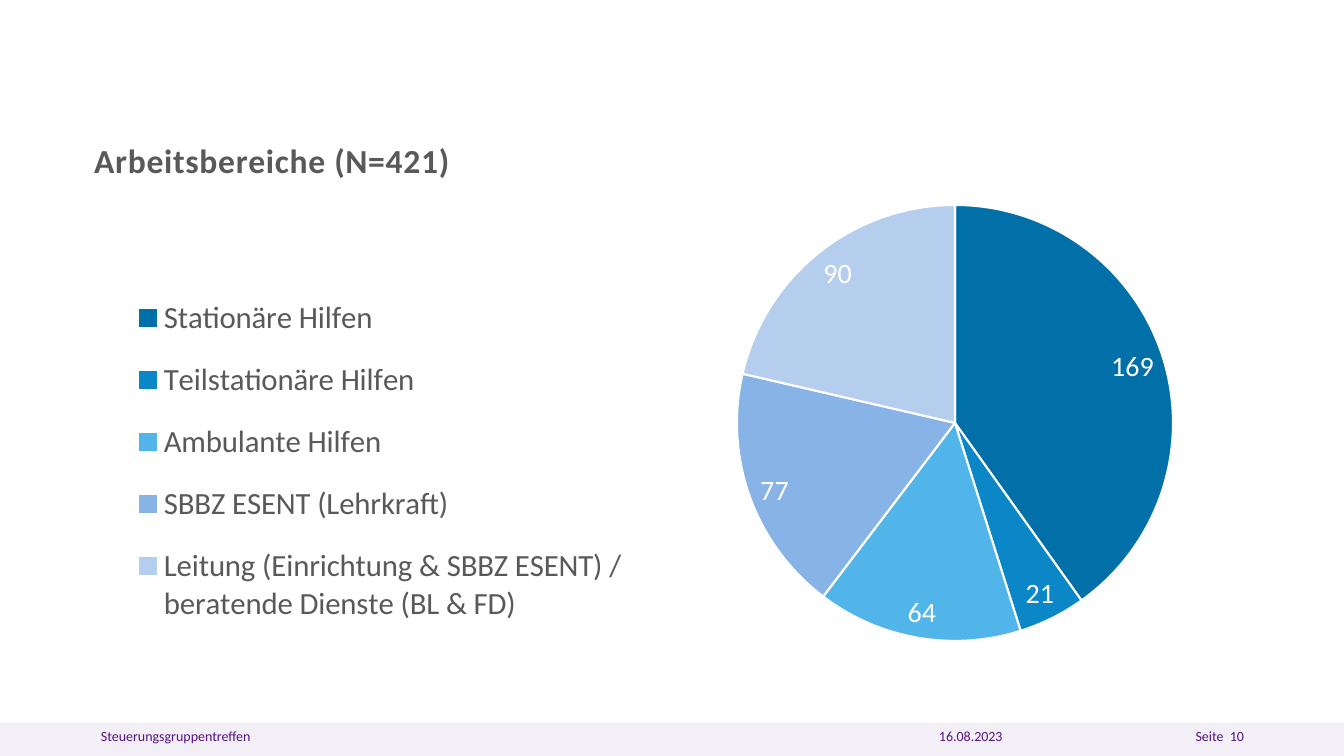
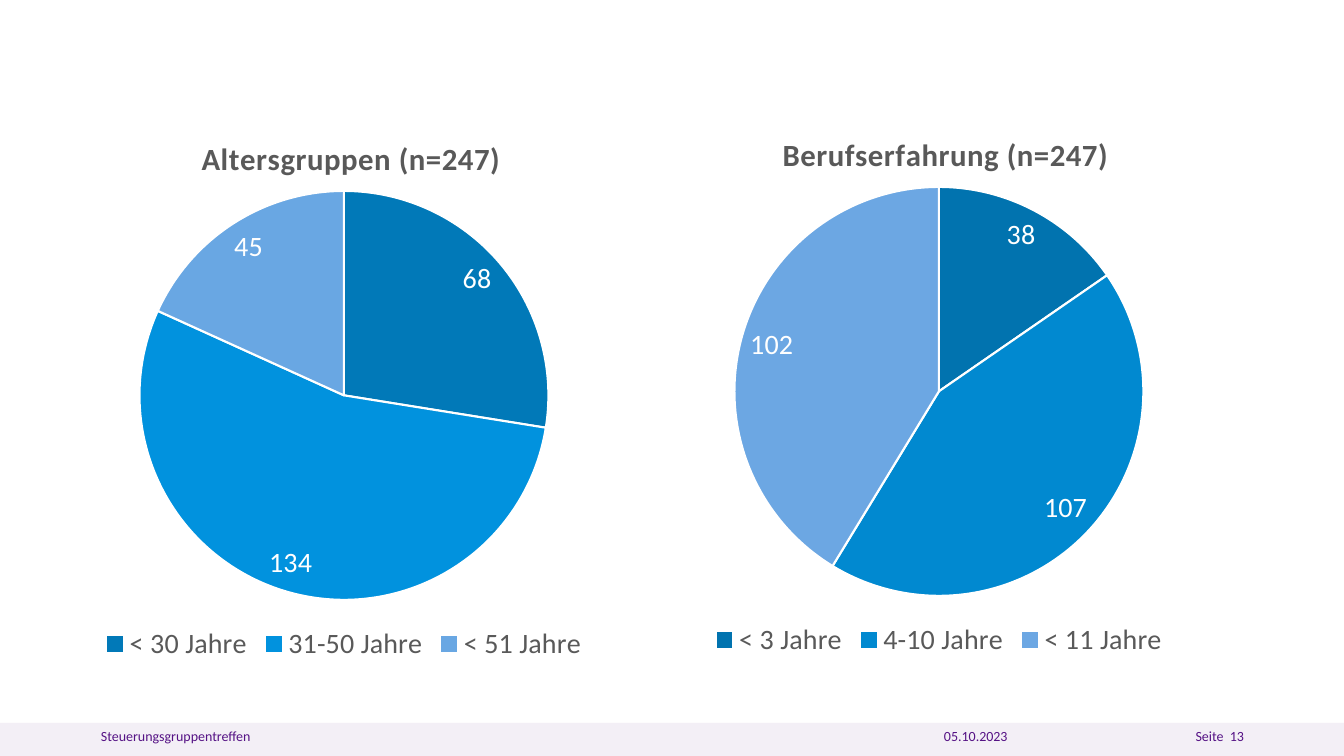
from dataclasses import dataclass

from lxml import etree
from pptx import Presentation
from pptx.chart.data import CategoryChartData
from pptx.dml.color import RGBColor
from pptx.enum.chart import XL_CHART_TYPE as ChartType
from pptx.enum.chart import XL_LABEL_POSITION as LabelPosition
from pptx.enum.chart import XL_LEGEND_POSITION as LegendPosition
from pptx.enum.shapes import MSO_SHAPE as Shape
from pptx.enum.text import PP_ALIGN as Align
from pptx.oxml.ns import qn
from pptx.util import Emu, Pt

PX = 12192000 / 1344
WIDTH, HEIGHT = 1344, 756
BLANK_LAYOUT = 6


@dataclass(frozen=True)
class Theme:
    font: str = "Calibri"
    band: str = "F3EFF6"
    footer: str = "551285"
    text: str = "595959"
    white: str = "FFFFFF"
    footer_size: int = 10
    label_size: int = 20
    title_spacing: int = 50
    slice_line: float = 1.5


THEME = Theme()


def px(length):
    return Emu(round(length * PX))


def px_box(box):
    return [px(length) for length in box]


def set_attributes(target, values):
    for name, value in values.items():
        setattr(target, name, value)


def set_font(font, size, color, bold=False):
    set_attributes(font, {"name": THEME.font, "size": Pt(size), "bold": bold})
    font.color.rgb = RGBColor.from_string(color)


# Footer shared by all slides
FOOTER_BOX = (0, 723, WIDTH, 33)


def add_master_band(presentation, slide):
    """Draw the footer band and move it to the slide master."""
    band = slide.shapes.add_shape(Shape.RECTANGLE, *px_box(FOOTER_BOX))
    band.shadow.inherit = False
    band.fill.solid()
    band.fill.fore_color.rgb = RGBColor.from_string(THEME.band)
    band.line.fill.background()
    tree = presentation.slide_master.shapes._spTree
    tree.insert(2, band._element)


def add_footer(slide, box, date, date_left, page):
    left, top, _, height = box
    fields = [
        (101, 657, 0, Align.LEFT, "Steuerungsgruppentreffen"),
        (date_left, 179, 10, Align.LEFT, date),
        (1120, 134, 10, Align.RIGHT, f"Seite  {page}"),
    ]
    for offset, width, inset, alignment, text in fields:
        field = slide.shapes.add_textbox(*px_box((left + offset, top, width, height)))
        frame = field.text_frame
        set_attributes(frame, {
            "word_wrap": True,
            "margin_left": px(inset),
            "margin_top": px(5),
            "margin_right": px(10),
            "margin_bottom": px(11),
        })
        paragraph = frame.paragraphs[0]
        paragraph.alignment = alignment
        run = paragraph.add_run()
        run.text = text
        set_font(run.font, THEME.footer_size, THEME.footer)


# Pie charts
def set_layout(parent, index, part, chart_box, inner=False):
    """Place a chart part, given in px, as fractions of the chart box."""
    for old in parent.findall(qn("c:layout")):
        parent.remove(old)
    layout = etree.Element(qn("c:layout"))
    manual = etree.SubElement(layout, qn("c:manualLayout"))
    values = {"layoutTarget": "inner"} if inner else {}
    values.update(xMode="edge", yMode="edge")
    extents = chart_box[2:] * 2
    for name, length, extent in zip("xywh", part, extents):
        values[name] = f"{length / extent:.4f}"
    for name, value in values.items():
        etree.SubElement(manual, qn(f"c:{name}")).set("val", value)
    parent.insert(index, layout)


def add_pie(slide, box, title, title_at, title_size, slices, plot,
            legend_size, legend_box=None):
    data = CategoryChartData()
    data.categories = [name for name, _, _ in slices]
    data.add_series("Series 1", [value for _, value, _ in slices])
    chart = slide.shapes.add_chart(ChartType.PIE, *px_box(box), data).chart
    chart.font.name = THEME.font

    # Title
    chart.has_title = True
    run = chart.chart_title.text_frame.paragraphs[0].add_run()
    run.text = title
    set_font(run.font, title_size, THEME.text, bold=True)
    run.font._element.set("spc", str(THEME.title_spacing))
    set_layout(chart.chart_title._element, 1, title_at, box)

    # Legend
    chart.has_legend = True
    legend = chart.legend
    set_attributes(legend, {"position": LegendPosition.BOTTOM, "include_in_layout": False})
    set_font(legend.font, legend_size, THEME.text)
    if legend_box:
        set_layout(legend._element, 1, legend_box, box)

    # Slices and labels
    plot_area = chart._chartSpace.chart.plotArea
    set_layout(plot_area, 0, plot, box, inner=True)
    pie = chart.plots[0]
    pie.vary_by_categories = True
    for index, (_, _, color) in enumerate(slices):
        slice_format = pie.series[0].points[index].format
        slice_format.fill.solid()
        slice_format.fill.fore_color.rgb = RGBColor.from_string(color)
        slice_format.line.color.rgb = RGBColor.from_string(THEME.white)
        slice_format.line.width = Pt(THEME.slice_line)
    labels = pie.series[0].data_labels
    set_attributes(labels, {"show_value": True, "position": LabelPosition.BEST_FIT})
    set_font(labels.font, THEME.label_size, THEME.white)


# Slides
def add_work_areas(slide, box):
    slices = [
        ("Stationäre Hilfen", 169, "016FA8"),
        ("Teilstationäre Hilfen", 21, "0B87C7"),
        ("Ambulante Hilfen", 64, "52B5E9"),
        ("SBBZ ESENT (Lehrkraft)", 77, "87B3E6"),
        ("Leitung (Einrichtung & SBBZ ESENT) / beratende Dienste (BL & FD)", 90, "B6CEEE"),
    ]
    add_pie(slide, box, "Arbeitsbereiche (N=421)", (28, 67), 24, slices,
            plot=(677, 139, 436, 438), legend_size=22, legend_box=(55, 210, 530, 372))


def add_group_pie(slide, box, title, title_left, slices):
    diameter = 409
    plot = ((box[2] - diameter) / 2, 79, diameter, diameter)
    add_pie(slide, box, title, (title_left, 20), 22, slices, plot, legend_size=20)


def add_age_and_experience(slide, box):
    left, top, _, height = box
    add_group_pie(slide, (left, top, 602, height), "Altersgruppen (n=247)", 153, [
        ("< 30 Jahre", 68, "0179B8"),
        ("31-50 Jahre", 134, "0192DE"),
        ("< 51 Jahre", 45, "69A7E3"),
    ])
    add_group_pie(slide, (left + 534, top - 4, 724, height), "Berufserfahrung (n=247)", 200, [
        ("< 3 Jahre", 38, "0173AF"),
        ("4-10 Jahre", 107, "0189D0"),
        ("< 11 Jahre", 102, "6CA7E3"),
    ])


def main():
    presentation = Presentation()
    set_attributes(presentation, {"slide_width": px(WIDTH), "slide_height": px(HEIGHT)})
    pages = [
        (add_work_areas, (60, 65, 1225, 670), "16.08.2023", 929, 10),
        (add_age_and_experience, (43, 112, 1258, 555), "05.10.2023", 934, 13),
    ]
    for index, (add_content, box, date, date_left, page) in enumerate(pages):
        slide = presentation.slides.add_slide(presentation.slide_layouts[BLANK_LAYOUT])
        if index == 0:
            add_master_band(presentation, slide)
        add_content(slide, box)
        add_footer(slide, FOOTER_BOX, date, date_left, page)
    presentation.save("out.pptx")


if __name__ == "__main__":
    main()
